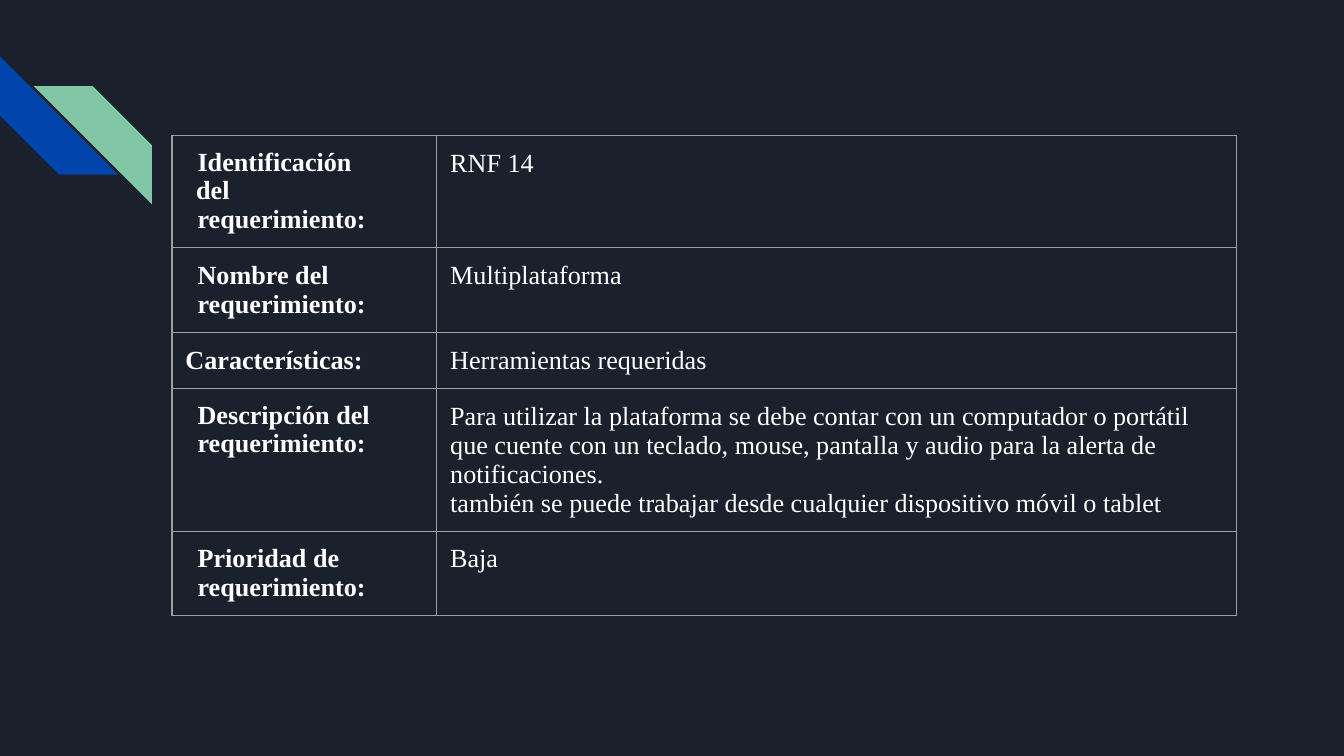
"""Build a slide with the requirement sheet RNF 14."""
import pptx
import pptx.dml.color
import pptx.enum.shapes
import pptx.oxml
import pptx.oxml.ns
import pptx.util

NIGHT = pptx.dml.color.RGBColor(0x1B, 0x21, 0x2C)
BLUE = pptx.dml.color.RGBColor(0x01, 0x45, 0xAC)
GREEN = pptx.dml.color.RGBColor(0x82, 0xC7, 0xA5)
WHITE = pptx.dml.color.RGBColor(0xFF, 0xFF, 0xFF)
GREY = pptx.dml.color.RGBColor(0x9E, 0x9E, 0x9E)

Inches = pptx.util.Inches
FONT = "Times New Roman"
SLIDE_WIDTH = 10
SLIDE_HEIGHT = SLIDE_WIDTH * 9 / 16
STRIPE_SIZE = 0.88
MARGIN = 0.1
INDENT = 0.09
TABLE_LEFT, TABLE_TOP = 1.28, 1.01
COLUMN_WIDTHS = (1.97, 5.95)
ROW_HEIGHTS = (0.82, 0.63, 0.42, 1.06, 0.63)

ROWS = (
    ("Identificación del\nrequerimiento:", "RNF 14"),
    ("Nombre del\nrequerimiento:", "Multiplataforma"),
    ("Características:", "Herramientas requeridas"),
    ("Descripción del requerimiento:",
     "Para utilizar la plataforma se debe contar con un computador o portátil "
     "que cuente con un teclado, mouse, pantalla y audio para la alerta de "
     "notificaciones.\n"
     "también se puede trabajar desde cualquier dispositivo móvil o tablet"),
    ("Prioridad de\nrequerimiento:", "Baja"),
)
FLUSH_ROW = 2
TIGHT_ROWS = (0, 3)


def add_stripe(page, left, top, color):
    """Add one diagonal stripe and return it."""
    stripe = page.shapes.add_shape(
        pptx.enum.shapes.MSO_SHAPE.DIAGONAL_STRIPE,
        Inches(left), Inches(top), Inches(STRIPE_SIZE), Inches(STRIPE_SIZE))
    stripe.adjustments[0] = 0.5
    stripe.shadow.inherit = False
    stripe.fill.solid()
    stripe.fill.fore_color.rgb = color
    stripe.line.fill.background()
    return stripe


def set_borders(cell):
    """Draw a thin grey line on all four sides of a cell."""
    properties = cell._tc.get_or_add_tcPr()
    for side in ("lnL", "lnR", "lnT", "lnB"):
        properties.append(pptx.oxml.parse_xml(
            f'<a:{side} {pptx.oxml.ns.nsdecls("a")} w="{pptx.util.Pt(0.75)}">'
            f'<a:solidFill><a:srgbClr val="{GREY}"/></a:solidFill></a:{side}>'))


def set_indent(para, **lengths):
    """Set paragraph indents, given in inches by attribute name."""
    properties = para._p.get_or_add_pPr()
    for name, length in lengths.items():
        properties.set(name, str(Inches(length)))


def fill_cell(cell, text, bold):
    """Write text into a transparent, bordered cell."""
    set_borders(cell)
    cell.fill.background()
    cell.margin_left = cell.margin_right = Inches(MARGIN)
    cell.margin_top = cell.margin_bottom = Inches(MARGIN)
    cell.text_frame.text = text
    for para in cell.text_frame.paragraphs:
        for span in para.runs:
            span.font.name = FONT
            span.font.size = pptx.util.Pt(14)
            span.font.bold = bold
            span.font.color.rgb = WHITE


def add_requirement_table(page):
    """Add the table of requirement labels and values."""
    table = page.shapes.add_table(
        len(ROWS), len(COLUMN_WIDTHS), Inches(TABLE_LEFT), Inches(TABLE_TOP),
        Inches(sum(COLUMN_WIDTHS)), Inches(sum(ROW_HEIGHTS))).table
    table.first_row = table.horz_banding = False
    for column, width in zip(table.columns, COLUMN_WIDTHS):
        column.width = Inches(width)
    for index, (label, value) in enumerate(ROWS):
        table.rows[index].height = Inches(ROW_HEIGHTS[index])
        fill_cell(table.cell(index, 0), label, True)
        fill_cell(table.cell(index, 1), value, False)
        paras = table.cell(index, 0).text_frame.paragraphs
        if index != FLUSH_ROW:
            for para in paras:
                set_indent(para, marL=INDENT)
        if index in TIGHT_ROWS:
            paras[0].line_spacing = 0.96
    first_para, second_para = table.cell(0, 0).text_frame.paragraphs
    set_indent(first_para, marL=0.08, indent=0.01, marR=0.4)
    second_para.space_before = pptx.util.Pt(0.3)


def main():
    """Build and save the deck."""
    deck = pptx.Presentation()
    deck.slide_width = Inches(SLIDE_WIDTH)
    deck.slide_height = Inches(SLIDE_HEIGHT)
    page = deck.slides.add_slide(deck.slide_layouts[6])
    page.background.fill.solid()
    page.background.fill.fore_color.rgb = NIGHT
    add_stripe(page, 0, 0.42, BLUE).rotation = 270
    green_stripe = add_stripe(page, 0.25, 0.64, GREEN)
    green_stripe._element.spPr.xfrm.set("flipH", "1")
    add_requirement_table(page)
    deck.save("out.pptx")


if __name__ == "__main__":
    main()
